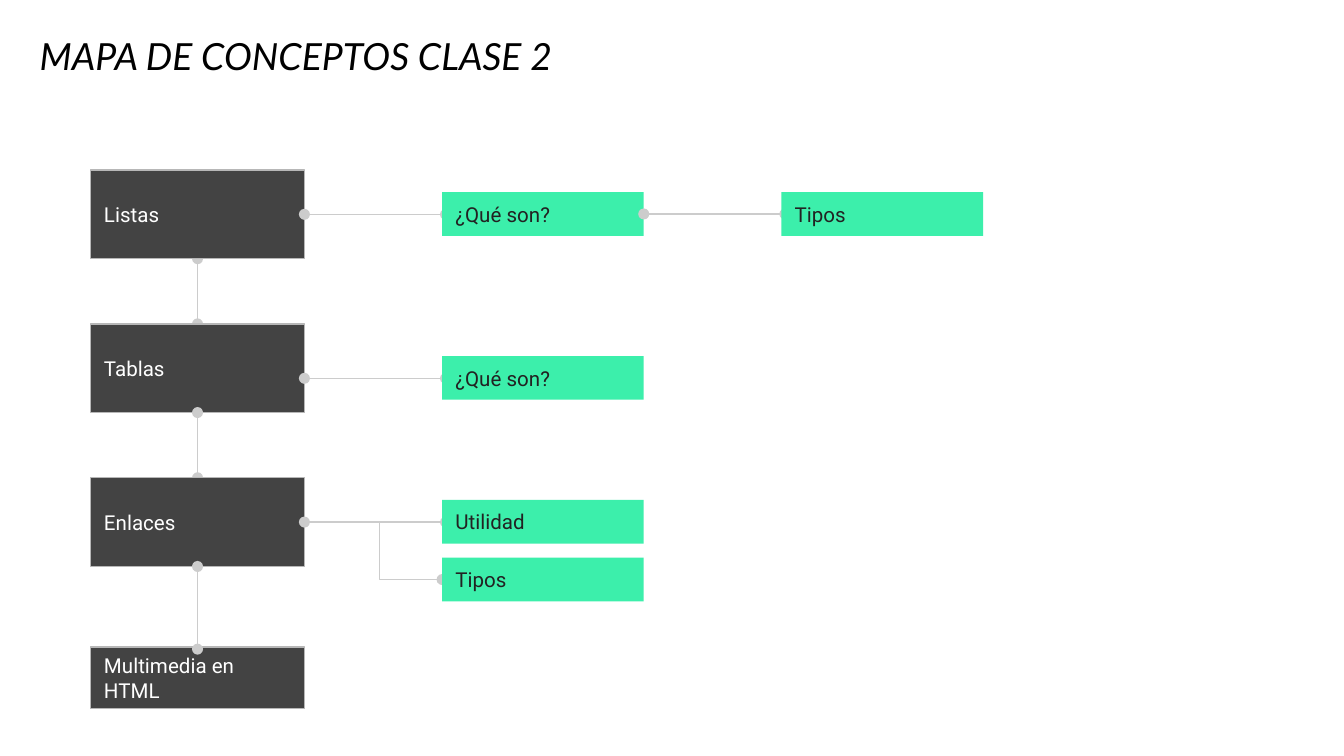
from lxml import etree
from pptx import Presentation
from pptx.dml.color import RGBColor
from pptx.enum.shapes import MSO_CONNECTOR, MSO_SHAPE
from pptx.enum.text import MSO_ANCHOR, MSO_AUTO_SIZE, PP_ALIGN
from pptx.oxml.ns import qn
from pptx.util import Pt

PX = 4572  # 200 px to the inch
COLORS = {
    "title": "000000", "topic": "434343", "topic_line": "B7B7B7", "topic_text": "FFFFFF",
    "detail": "3CEFAB", "detail_text": "222222", "link": "CCCCCC",
}
TOPIC_X, TOPIC_W, TOPIC_H = 135, 318, 132
DETAIL_W, DETAIL_H = 300, 65
DETAIL_X, SUBDETAIL_X = 658, 1163
SPINE_X = TOPIC_X + TOPIC_W // 2
OVERLAP = 5  # links run this far under the detail boxes

prs = Presentation()
prs.slide_width, prs.slide_height = 2000 * PX, 1125 * PX
s = prs.slides.add_slide(prs.slide_layouts[5])


def add_box(text, kind, x, y, w, h):
    sp = s.shapes.add_shape(MSO_SHAPE.RECTANGLE, x * PX, y * PX, w * PX, h * PX)
    sp.shadow.inherit = False
    sp.fill.solid()
    sp.fill.fore_color.rgb = RGBColor.from_string(COLORS[kind])
    if kind == "topic":
        sp.line.color.rgb = RGBColor.from_string(COLORS["topic_line"])
        sp.line.width = Pt(0.75)
    else:
        sp.line.fill.background()
    tf = sp.text_frame
    tf.word_wrap = True
    tf.vertical_anchor = MSO_ANCHOR.MIDDLE
    tf.margin_left = tf.margin_right = tf.margin_top = tf.margin_bottom = 20 * PX
    tf.text = text
    p = tf.paragraphs[0]
    p.alignment = PP_ALIGN.LEFT
    font = p.runs[0].font
    font.name, font.size = "Roboto", Pt(11)
    font.color.rgb = RGBColor.from_string(COLORS[kind + "_text"])
    return sp


def add_link(x1, y1, x2, y2, kind=MSO_CONNECTOR.STRAIGHT, dots=("headEnd", "tailEnd")):
    """Add a grey connector with round dots at the given ends."""
    cxn = s.shapes.add_connector(kind, x1 * PX, y1 * PX, x2 * PX, y2 * PX)
    cxn.line.color.rgb = RGBColor.from_string(COLORS["link"])
    cxn.line.width = Pt(0.75)
    ln = cxn.line._get_or_add_ln()
    for end in dots:
        etree.SubElement(ln, qn("a:" + end), type="oval")
    etree.SubElement(cxn._element.spPr, qn("a:effectLst"))
    return cxn


# Title
title = s.shapes.title
title.left, title.top, title.width, title.height = 39 * PX, 44 * PX, 1652 * PX, 92 * PX
tf = title.text_frame
tf.auto_size = MSO_AUTO_SIZE.NONE
tf.word_wrap = True
tf.vertical_anchor = MSO_ANCHOR.BOTTOM
tf.margin_left = tf.margin_right = tf.margin_top = tf.margin_bottom = 20 * PX
tf.text = "MAPA DE CONCEPTOS CLASE 2"
p = tf.paragraphs[0]
p.alignment = PP_ALIGN.LEFT
font = p.runs[0].font
font.name, font.size, font.italic = "Lato", Pt(20), True
font.color.rgb = RGBColor.from_string(COLORS["title"])

# Topics and the spine between them, from back to front
lists_to_tables = add_link(SPINE_X, 385, SPINE_X, 482)
tables = add_box("Tablas", "topic", TOPIC_X, 482, TOPIC_W, TOPIC_H)
tables_to_links = add_link(SPINE_X, 614, SPINE_X, 711)
links = add_box("Enlaces", "topic", TOPIC_X, 711, TOPIC_W, TOPIC_H)
lists = add_box("Listas", "topic", TOPIC_X, 253, TOPIC_W, TOPIC_H)

for cxn, upper, lower in [(lists_to_tables, lists, tables), (tables_to_links, tables, links)]:
    cxn.begin_connect(upper, 2)
    cxn.end_connect(lower, 0)

# Details, each with a level link from the box on its left
previous = None
for text, x, y, source in [
    ("¿Qué son?", DETAIL_X, 286, lists),
    ("Tipos", SUBDETAIL_X, 286, None),  # follows the detail before it
    ("¿Qué son?", DETAIL_X, 530, tables),
    ("Utilidad", DETAIL_X, 744, links),
]:
    source = source or previous
    middle = y + DETAIL_H // 2 + 1
    start = (source.left + source.width) // PX
    cxn = add_link(start, middle, x + OVERLAP, middle)
    if source is not tables:  # the link from Tablas starts below the middle
        cxn.begin_connect(source, 3)
        cxn.end_y = cxn.begin_y
    previous = add_box(text, "detail", x, y, DETAIL_W, DETAIL_H)

# Second detail of Enlaces, reached by an elbow
elbow = add_link(472, 777, DETAIL_X, 862, MSO_CONNECTOR.ELBOW, ("tailEnd",))
link_types = add_box("Tipos", "detail", DETAIL_X, 830, DETAIL_W, DETAIL_H)
elbow.end_connect(link_types, 1)

# Last topic, with its link in front
add_box("Multimedia en HTML", "topic", TOPIC_X, 963, TOPIC_W, 92)
links_to_media = add_link(SPINE_X, 843, SPINE_X, 966)
links_to_media.begin_connect(links, 2)

prs.save("out.pptx")
